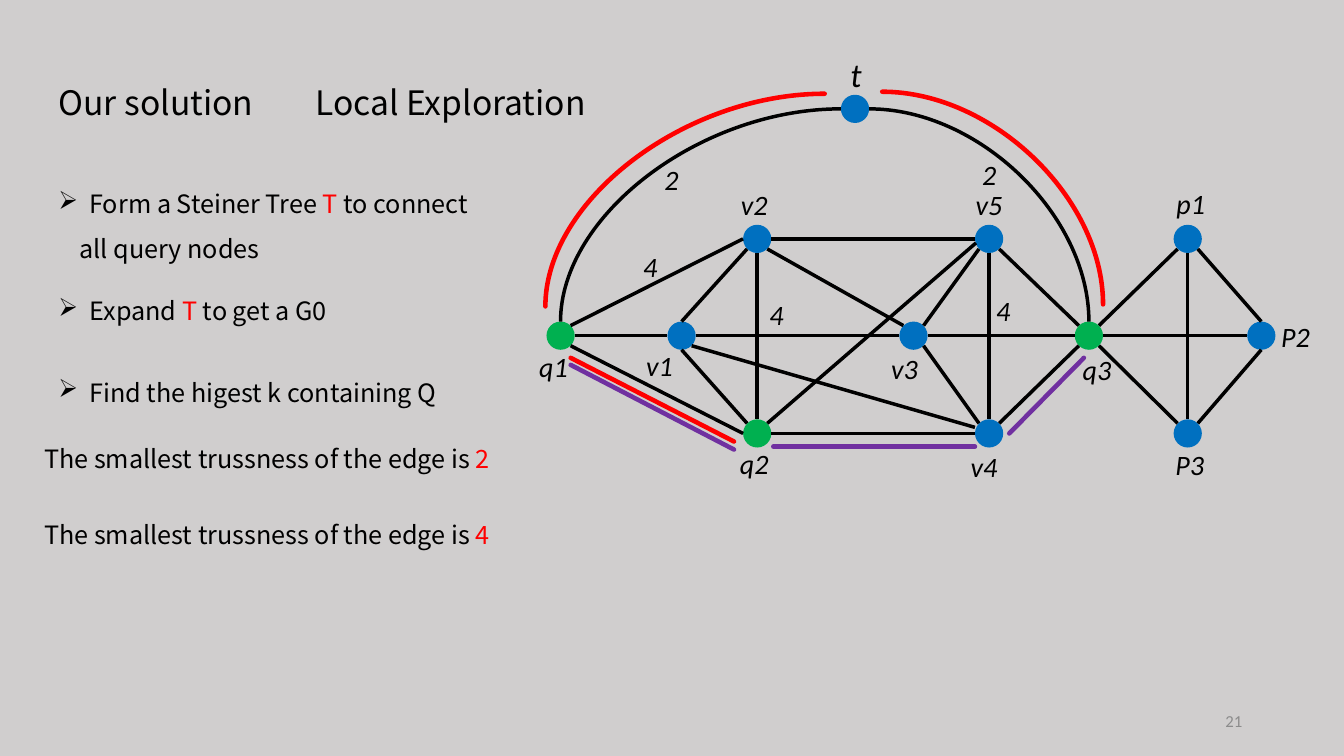
import pptx
import pptx.util
import pptx.dml.color
import pptx.enum.shapes
import pptx.enum.text
import pptx.oxml
import pptx.oxml.ns

COLORS = {"background": "D0CECE", "text": "000000", "accent": "FF0000", "query": "00B050",
          "node": "0070C0", "edge": "000000", "path": "7030A0", "number": "8C8C8C"}
BODY_FONT, GRAPH_FONT = "Noto Sans CJK SC", "Calibri"

TITLE = ("Our solution", 0.48, 0.56, 2.21, 0.64)
SUBTITLE = ("Local Exploration", 3.03, 0.56, 2.96, 0.64)

# Box, then paragraphs as (style, runs); a run is (words, colour)
STATEMENTS = [
    ((0.48, 1.67, 4.44, 1.01), [
        ("bullet", [("Form a Steiner Tree ", "text"), ("T", "accent"), (" to connect", "text")]),
        ("continued", [("all query nodes", "text")])]),
    ((0.48, 2.73, 3.05, 0.56), [
        ("bullet", [("Expand ", "text"), ("T", "accent"), (" to get a G0", "text")])]),
    ((0.48, 3.54, 4.17, 0.56), [("bullet", [("Find the higest k containing Q", "text")])]),
] + [
    ((0.34, top, 4.85, 0.56),
     [("plain", [("The smallest trussness of the edge is ", "text"), (value, "accent")])])
    for top, value in ((4.2, "2"), (4.95, "4"))
]

UPPER, MIDDLE, LOWER = 2.37, 3.33, 4.3
# Node: centre, offset of its label from that centre
NODES = {
    "q1": (5.56, MIDDLE, -0.07, 0.3), "q2": (7.51, LOWER, -0.03, 0.3),
    "v4": (9.81, LOWER, -0.05, 0.33), "v1": (6.76, MIDDLE, -0.22, 0.29),
    "v3": (9.06, MIDDLE, -0.09, 0.32), "q3": (10.8, MIDDLE, 0.08, 0.33),
    "v5": (9.81, UPPER, 0, -0.34), "v2": (7.51, UPPER, -0.03, -0.34),
    "t": (8.48, 1.08, 0.01, -0.34), "p1": (11.78, UPPER, 0.03, -0.35),
    "P2": (12.51, MIDDLE, 0.34, 0.01), "P3": (11.78, LOWER, 0.02, 0.31),
}
# Each end is a node and the compass point on its rim
EDGES = """
q1 E v1 W, v1 E v3 W, v3 E q3 W, q3 E P2 W, p1 SE P2 N, p1 SW q3 NE, p1 S P3 N,
P2 S P3 NE, q3 SE P3 NW, q3 SW v4 NE, v5 S v4 N, v5 SE q3 NW, v5 SW v3 NE,
v3 SE v4 NW, v2 S q2 N, v2 SW v1 N, v1 S q2 NW, v2 W q1 NE, q1 SE q2 W,
q2 E v4 W, v2 E v5 W, v1 SE v4 WNW, v5 WSW q2 NE, v2 SE v3 NW
"""
ARCS = "t W q1 N, t E q3 N"
WEIGHTS = [("2", 6.66, 1.78), ("2", 9.81, 1.73), ("4", 6.45, 2.64),
           ("4", 7.7, 3.12), ("4", 9.95, 3.08)]
# Colour, curved, start, end
HIGHLIGHTS = [
    ("path", False, (5.66, 3.62), (7.28, 4.46)),
    ("accent", False, (5.66, 3.55), (7.28, 4.38)),
    ("accent", True, (8.18, 0.93), (5.41, 3.04)),
    ("accent", True, (8.75, 0.91), (10.94, 3.02)),
    ("path", False, (7.67, 4.43), (9.67, 4.43)),
    ("path", False, (10.01, 4.3), (10.75, 3.55)),
]

RADIUS, DIAGONAL = 0.14, 0.1
COMPASS = {"N": (0, -RADIUS), "S": (0, RADIUS), "W": (-RADIUS, 0), "E": (RADIUS, 0),
           "NW": (-DIAGONAL, -DIAGONAL), "NE": (DIAGONAL, -DIAGONAL),
           "SW": (-DIAGONAL, DIAGONAL), "SE": (DIAGONAL, DIAGONAL),
           "WNW": (-0.14, -0.06), "WSW": (-0.13, 0.04)}

inch = pptx.util.Inches
LEFT, CENTER, RIGHT = (pptx.enum.text.PP_ALIGN.LEFT, pptx.enum.text.PP_ALIGN.CENTER,
                       pptx.enum.text.PP_ALIGN.RIGHT)


def rgb(name):
    return pptx.dml.color.RGBColor.from_string(COLORS[name])


def style_run(run, size, font, color="text", italic=False):
    run.font.size = pptx.util.Pt(size)
    run.font.name = font
    run.font.italic = italic
    run.font.color.rgb = rgb(color)


def add_box(slide, left, top, width, height):
    return slide.shapes.add_textbox(inch(left), inch(top), inch(width), inch(height))


def fit_unwrapped(frame):
    frame.word_wrap = False
    frame.auto_size = pptx.enum.text.MSO_AUTO_SIZE.SHAPE_TO_FIT_TEXT
    frame.vertical_anchor = pptx.enum.text.MSO_ANCHOR.TOP


def write_heading(shape, words):
    fit_unwrapped(shape.text_frame)
    shape.text_frame.text = words
    paragraph = shape.text_frame.paragraphs[0]
    paragraph.alignment = LEFT
    paragraph.line_spacing = 1.5
    style_run(paragraph.runs[0], 24, BODY_FONT)


def indent(paragraph, style):
    props = paragraph._p.get_or_add_pPr()
    if style == "bullet":
        props.set("marL", str(inch(0.31)))
        props.set("indent", str(-inch(0.31)))
        bullet = pptx.oxml.parse_xml(
            f'<a:buChar {pptx.oxml.ns.nsdecls("a")} char="➢"/>')
        props.append(bullet)
    elif style == "continued":
        props.set("marL", str(inch(0.21)))


def add_statement(slide, box, paragraphs):
    frame = add_box(slide, *box).text_frame
    fit_unwrapped(frame)
    for index, (style, runs) in enumerate(paragraphs):
        paragraph = frame.add_paragraph() if index else frame.paragraphs[0]
        indent(paragraph, style)
        paragraph.line_spacing = 1.5
        for words, color in runs:
            run = paragraph.add_run()
            run.text = words
            style_run(run, 18, BODY_FONT, color)


def add_label(slide, words, x, y, size=20):
    """Centre an italic graph label on the point x, y."""
    height = size / 72 * 1.2 + 0.1
    frame = add_box(slide, x - 0.29, y - height / 2, 0.58, height).text_frame
    frame.word_wrap = True
    frame.text = words
    frame.paragraphs[0].alignment = CENTER
    style_run(frame.paragraphs[0].runs[0], size, GRAPH_FONT, italic=True)


def add_line(slide, start, end, color="edge", width=2.5, curved=False):
    kinds = pptx.enum.shapes.MSO_CONNECTOR
    line = slide.shapes.add_connector(kinds.CURVE if curved else kinds.STRAIGHT,
                                      *(inch(v) for v in (*start, *end)))
    line.line.color.rgb = rgb(color)
    line.line.width = pptx.util.Pt(width)
    props = line._element.spPr
    if curved:  # quarter arc: leaves sideways, arrives downwards
        props.find(pptx.oxml.ns.qn("a:prstGeom")).set("prst", "curvedConnector2")
    if color != "edge":
        props.find(pptx.oxml.ns.qn("a:ln")).set("cap", "rnd")
    props.append(pptx.oxml.parse_xml(f'<a:effectLst {pptx.oxml.ns.nsdecls("a")}/>'))


def rim_point(node, direction):
    x, y = NODES[node][:2]
    dx, dy = COMPASS[direction]
    return x + dx, y + dy


def add_edges(slide, edges, curved=False):
    for edge in edges.split(","):
        first, leave, second, arrive = edge.split()
        add_line(slide, rim_point(first, leave), rim_point(second, arrive), curved=curved)


def add_node(slide, name, x, y, dx, dy):
    dot = slide.shapes.add_shape(pptx.enum.shapes.MSO_SHAPE.OVAL, inch(x - RADIUS),
                                 inch(y - RADIUS), inch(2 * RADIUS), inch(2 * RADIUS))
    dot.shadow.inherit = False
    dot.fill.solid()
    dot.fill.fore_color.rgb = rgb("query" if name.startswith("q") else "node")
    dot.line.fill.background()
    add_label(slide, name, x + dx, y + dy, 24 if name == "t" else 20)


def main():
    deck = pptx.Presentation()
    deck.slide_width, deck.slide_height = inch(13.33), inch(7.5)
    slide = deck.slides.add_slide(deck.slide_layouts.get_by_name("Title Only"))
    slide.background.fill.solid()
    slide.background.fill.fore_color.rgb = rgb("background")

    title = slide.shapes.title
    words, *box = TITLE
    title.left, title.top, title.width, title.height = (inch(v) for v in box)
    write_heading(title, words)
    write_heading(add_box(slide, *SUBTITLE[1:]), SUBTITLE[0])
    for box, paragraphs in STATEMENTS:
        add_statement(slide, box, paragraphs)

    for name, place in NODES.items():
        add_node(slide, name, *place)
    add_edges(slide, EDGES)
    add_edges(slide, ARCS, curved=True)
    for weight in WEIGHTS:
        add_label(slide, *weight)
    for color, curved, start, end in HIGHLIGHTS:
        add_line(slide, start, end, color, 3.25, curved)

    number = add_box(slide, 9.42, 6.95, 3, 0.4).text_frame
    number.word_wrap = True
    number.vertical_anchor = pptx.enum.text.MSO_ANCHOR.MIDDLE
    number.text = "21"
    number.paragraphs[0].alignment = RIGHT
    style_run(number.paragraphs[0].runs[0], 12, GRAPH_FONT, "number")
    deck.save("out.pptx")


if __name__ == "__main__":
    main()
